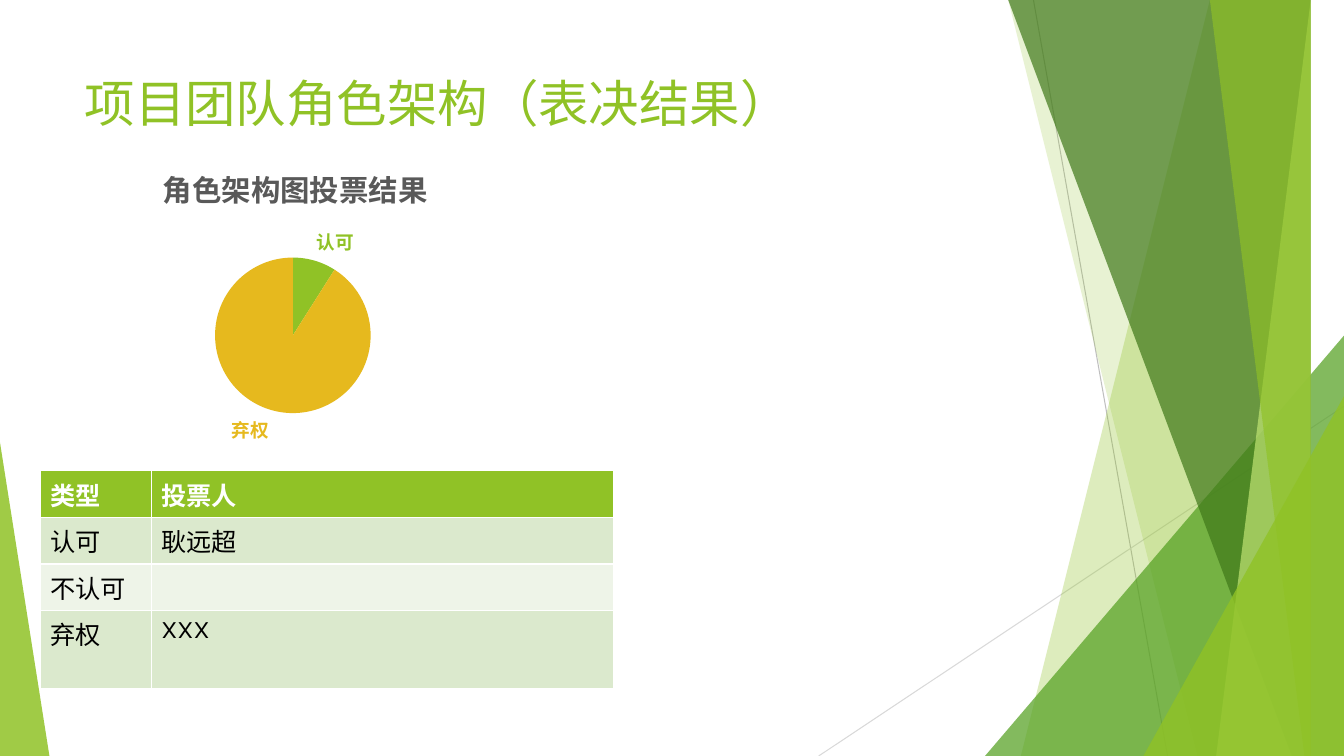
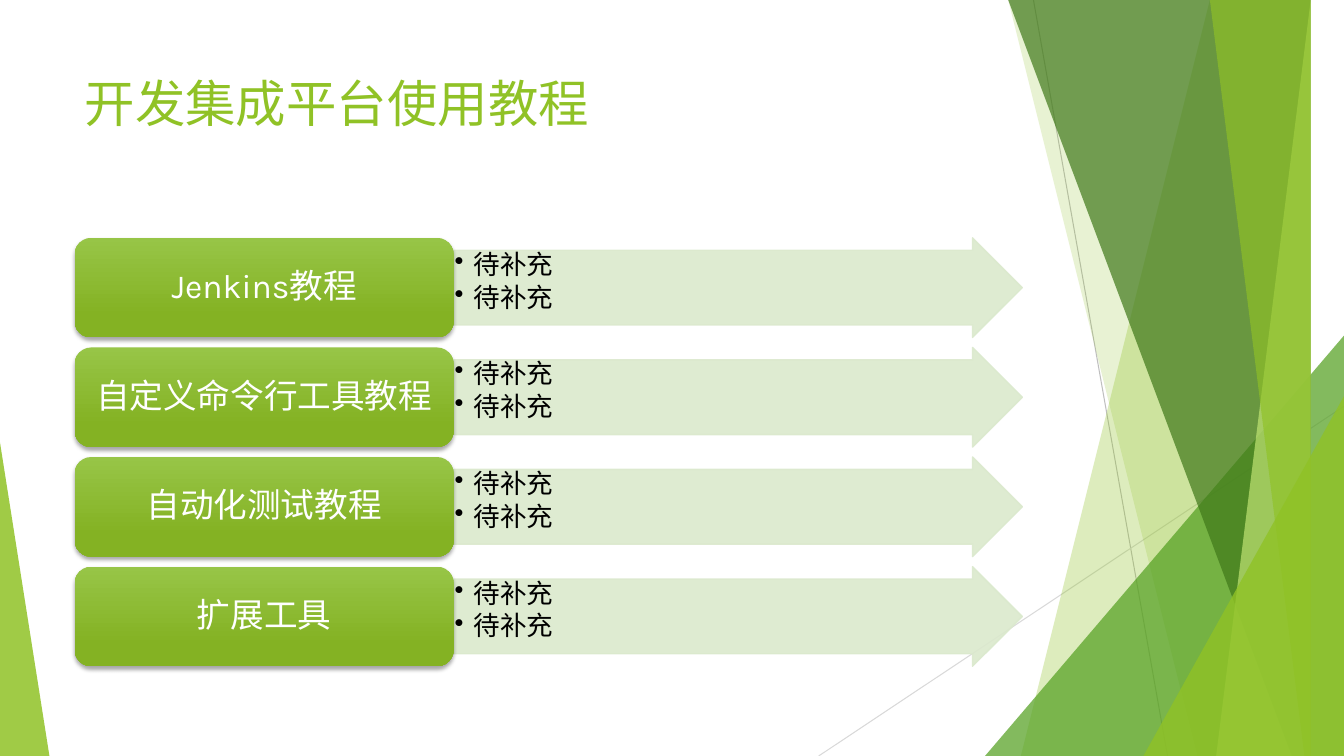
from lxml.etree import SubElement
from pptx import Presentation
from pptx.chart.data import CategoryChartData
from pptx.dml.color import RGBColor
from pptx.enum.chart import XL_CHART_TYPE, XL_LABEL_POSITION
from pptx.enum.shapes import MSO_CONNECTOR, MSO_SHAPE
from pptx.enum.text import MSO_ANCHOR, MSO_AUTO_SIZE, PP_ALIGN
from pptx.oxml.ns import qn
from pptx.util import Inches, Pt

FONT = "Karla"
LIME = RGBColor(0x90, 0xC2, 0x26)
GREEN = RGBColor(0x54, 0xA0, 0x21)
FOREST = RGBColor(0x3F, 0x78, 0x19)
PALE_LIME = RGBColor(0xC0, 0xE4, 0x74)
GOLD = RGBColor(0xE6, 0xB9, 0x1E)
MIST = RGBColor(0xDB, 0xE9, 0xCD)
LIGHT_MIST = RGBColor(0xEE, 0xF4, 0xE8)
BUTTON_TOP = RGBColor(0x97, 0xC5, 0x47)
BUTTON_BOTTOM = RGBColor(0x84, 0xB2, 0x23)
SILVER = RGBColor(0xBF, 0xBF, 0xBF)
LIGHT_SILVER = RGBColor(0xD9, 0xD9, 0xD9)
SLATE = RGBColor(0x59, 0x59, 0x59)
WHITE = RGBColor(0xFF, 0xFF, 0xFF)
BLACK = RGBColor(0, 0, 0)

WIDTH, HEIGHT = 13.33, 7.5
MARGIN, CONTENT_WIDTH = 0.74, 9.4

RAYS = [((10.25, 0), (11.58, HEIGHT), SILVER),
        ((WIDTH, 4.03), (8.12, HEIGHT), LIGHT_SILVER)]
# Ribbons run from a top x to a bottom x and fill up to the right edge;
# wedges are right triangles: left, top, width, apex position.
FACETS = [("ribbon", (12.28, 10.04), LIME, 30),
          ("ribbon", (10.5, 11.83), LIME, 20),
          ("wedge", (9.77, 3.33, 3.56, 1), GREEN, 72),
          ("ribbon", (10.21, 12.91), FOREST, 70),
          ("ribbon", (13.03, 11.92), PALE_LIME, 70),
          ("ribbon", (11.96, 13.18), LIME, 65),
          ("wedge", (11.34, 3.93, 1.99, 1), LIME, 80),
          ("wedge", (0, 4.39, 0.49, 0), LIME, 85)]


def inches(*lengths):
    return [Inches(length) for length in lengths]


def set_font(font, size, color, bold=False):
    font.name, font.size, font.bold = FONT, Pt(size), bold
    font.color.rgb = color


def set_opacity(parent, percent):
    """Make every RGB colour below parent partly transparent."""
    for color in parent.iter(qn("a:srgbClr")):
        SubElement(color, qn("a:alpha"), val=str(percent * 1000))


def add_facet(slide, kind, geometry, color, opacity):
    if kind == "ribbon":
        top_x, bottom_x = geometry
        builder = slide.shapes.build_freeform(top_x, 0, scale=Inches(1))
        builder.add_line_segments(
            [(WIDTH, 0), (WIDTH, HEIGHT), (bottom_x, HEIGHT)], close=True)
        facet = builder.convert_to_shape()
    else:
        left, top, width, apex = geometry
        facet = slide.shapes.add_shape(
            MSO_SHAPE.ISOSCELES_TRIANGLE,
            *inches(left, top, width, HEIGHT - top))
        facet.adjustments[0] = apex
    facet.shadow.inherit = False
    facet.fill.solid()
    facet.fill.fore_color.rgb = color
    facet.line.fill.background()
    set_opacity(facet.element.spPr, opacity)


def add_backdrop(slide):
    for start, end, color in RAYS:
        ray = slide.shapes.add_connector(
            MSO_CONNECTOR.STRAIGHT, *inches(*start, *end))
        ray.line.color.rgb = color
        ray.line.width = Pt(0.75)
        SubElement(ray.element.spPr, qn("a:effectLst"))
    for facet in FACETS:
        add_facet(slide, *facet)


def add_titled_slide(deck, heading):
    slide = deck.slides.add_slide(deck.slide_layouts[5])
    add_backdrop(slide)
    title = slide.shapes.title
    title.left, title.top, title.width, title.height = inches(
        MARGIN, 0.67, CONTENT_WIDTH, 1.44)
    frame = title.text_frame
    frame.text = heading
    frame.auto_size = MSO_AUTO_SIZE.NONE
    frame.vertical_anchor = MSO_ANCHOR.TOP
    frame.paragraphs[0].alignment = PP_ALIGN.LEFT
    set_font(frame.paragraphs[0].font, 36, LIME)
    return slide


def fix_layout(chart_part, index, target=None, **shares):
    """Place a chart part at shares of the chart area."""
    for old in chart_part.findall(qn("c:layout")):
        chart_part.remove(old)
    layout = SubElement(chart_part, qn("c:layout"))
    chart_part.insert(index, layout)
    manual = SubElement(layout, qn("c:manualLayout"))
    if target:
        SubElement(manual, qn("c:layoutTarget"), val=target)
    for axis in ("x", "y"):
        SubElement(manual, qn(f"c:{axis}Mode"), val="edge")
    for side, share in shares.items():
        SubElement(manual, qn(f"c:{side}"), val=str(share))


def add_vote_pie(slide, box, heading, votes):
    """votes: (category, value, colour) for each slice."""
    data = CategoryChartData()
    data.categories = [category for category, _, _ in votes]
    data.add_series("Series 1", [value for _, value, _ in votes])
    chart = slide.shapes.add_chart(
        XL_CHART_TYPE.PIE, *inches(*box), data).chart
    chart.has_legend = False
    set_font(chart.font, 10, BLACK)
    chart.has_title = True
    chart.chart_title.text_frame.text = heading
    set_font(chart.chart_title.text_frame.paragraphs[0].font, 21, SLATE, True)

    plot = chart.plots[0]
    plot.vary_by_categories = True
    for index, (_, _, color) in enumerate(votes):
        point = plot.series[0].points[index]
        point.format.fill.solid()
        point.format.fill.fore_color.rgb = color
        point.data_label.position = XL_LABEL_POSITION.OUTSIDE_END
        set_font(point.data_label.font, 13.3, color, True)
    chart_space = chart.element
    for tag, shown in (("showVal", "0"), ("showCatName", "1")):
        for flag in chart_space.xpath(f".//c:dLbl/c:{tag}"):
            flag.set("val", shown)
    fix_layout(chart_space.xpath("c:chart/c:title")[0], 1, x=0.19, y=0.06)
    fix_layout(chart_space.xpath("c:chart/c:plotArea")[0], 0, "inner",
               x=0.32, y=0.37, w=0.36, h=0.49)


def add_vote_table(slide, box, column_widths, row_heights, rows):
    table = slide.shapes.add_table(
        len(rows), len(column_widths), *inches(*box)).table
    for column, width in zip(table.columns, column_widths):
        column.width = Inches(width)
    for row, height in zip(table.rows, row_heights):
        row.height = Inches(height)
    for r, texts in enumerate(rows):
        header = r == 0
        fill = LIME if header else (MIST if r % 2 else LIGHT_MIST)
        for c, text in enumerate(texts):
            cell = table.cell(r, c)
            cell.text = text
            cell.fill.solid()
            cell.fill.fore_color.rgb = fill
            set_font(cell.text_frame.paragraphs[0].font, 18,
                     WHITE if header else BLACK, header)


def add_detail_arrow(slide, box, details):
    arrow = slide.shapes.add_shape(MSO_SHAPE.RIGHT_ARROW, *inches(*box))
    arrow.adjustments[0] = 0.75
    arrow.shadow.inherit = False
    arrow.fill.solid()
    arrow.fill.fore_color.rgb = MIST
    arrow.line.color.rgb = MIST
    arrow.line.width = Pt(1)
    set_opacity(arrow.element.spPr, 90)
    frame = arrow.text_frame
    frame.text = "\n".join(details)
    frame.word_wrap = True
    frame.vertical_anchor = MSO_ANCHOR.TOP
    frame.margin_left = frame.margin_right = Inches(0.01)
    frame.margin_top = frame.margin_bottom = Inches(0.01)
    for paragraph in frame.paragraphs:
        properties = paragraph._p.get_or_add_pPr()
        properties.set("marL", str(Inches(0.19)))
        properties.set("indent", str(-Inches(0.19)))
        SubElement(properties, qn("a:buChar"), char="•")
        paragraph.alignment = PP_ALIGN.LEFT
        paragraph.line_spacing = 0.9
        paragraph.space_after = Pt(3)
        set_font(paragraph.font, 19, BLACK)


def add_topic_button(slide, box, topic):
    button = slide.shapes.add_shape(
        MSO_SHAPE.ROUNDED_RECTANGLE, *inches(*box))
    button.fill.gradient()
    button.fill.gradient_angle = 270
    upper, lower = button.fill.gradient_stops
    upper.color.rgb, lower.color.rgb = BUTTON_TOP, BUTTON_BOTTOM
    upper.position, lower.position = 0, 0.78
    button.line.fill.background()
    button.shadow.inherit = False
    shadow = SubElement(
        button.element.spPr.find(qn("a:effectLst")), qn("a:outerShdw"),
        blurRad=str(Pt(3)), dist=str(Pt(2)), dir="5400000", rotWithShape="0")
    SubElement(shadow, qn("a:srgbClr"), val=str(BLACK))
    set_opacity(shadow, 35)
    frame = button.text_frame
    frame.text = topic
    frame.word_wrap = True
    frame.vertical_anchor = MSO_ANCHOR.MIDDLE
    frame.paragraphs[0].alignment = PP_ALIGN.CENTER
    frame.paragraphs[0].line_spacing = 0.9
    set_font(frame.paragraphs[0].font, 24, WHITE)


def add_tutorial_list(slide, box, tutorials):
    """Stack button-and-arrow rows, with gaps a tenth of a row high."""
    left, top, width, height = box
    row_height = height / (1.1 * len(tutorials) - 0.1)
    button_width = 0.4 * width
    for index, (topic, details) in enumerate(tutorials):
        row_top = top + index * 1.1 * row_height
        add_detail_arrow(slide, (left + button_width, row_top,
                                 width - button_width, row_height), details)
        add_topic_button(
            slide, (left, row_top, button_width, row_height), topic)


def build_vote_slide(deck):
    slide = add_titled_slide(deck, "项目团队角色架构（表决结果）")
    add_vote_pie(slide, (MARGIN, 1.39, 4.33, 3.15), "角色架构图投票结果",
                 [("认可", 9, LIME), ("不认可", 0, GREEN), ("弃权", 91, GOLD)])
    add_vote_table(slide, (0.4, 4.67, 5.7, 2.15), (1.1, 4.59),
                   (0.46, 0.46, 0.46, 0.77),
                   [("类型", "投票人"), ("认可", "耿远超"),
                    ("不认可", ""), ("弃权", "XXX")])


def build_tutorial_slide(deck):
    slide = add_titled_slide(deck, "开发集成平台使用教程")
    topics = ["Jenkins教程", "自定义命令行工具教程", "自动化测试教程", "扩展工具"]
    add_tutorial_list(slide, (MARGIN, 2.36, CONTENT_WIDTH, 4.25),
                      [(topic, ["待补充"] * 2) for topic in topics])


def main():
    deck = Presentation()
    deck.slide_width, deck.slide_height = inches(WIDTH, HEIGHT)
    build_vote_slide(deck)
    build_tutorial_slide(deck)
    deck.save("out.pptx")


if __name__ == "__main__":
    main()
